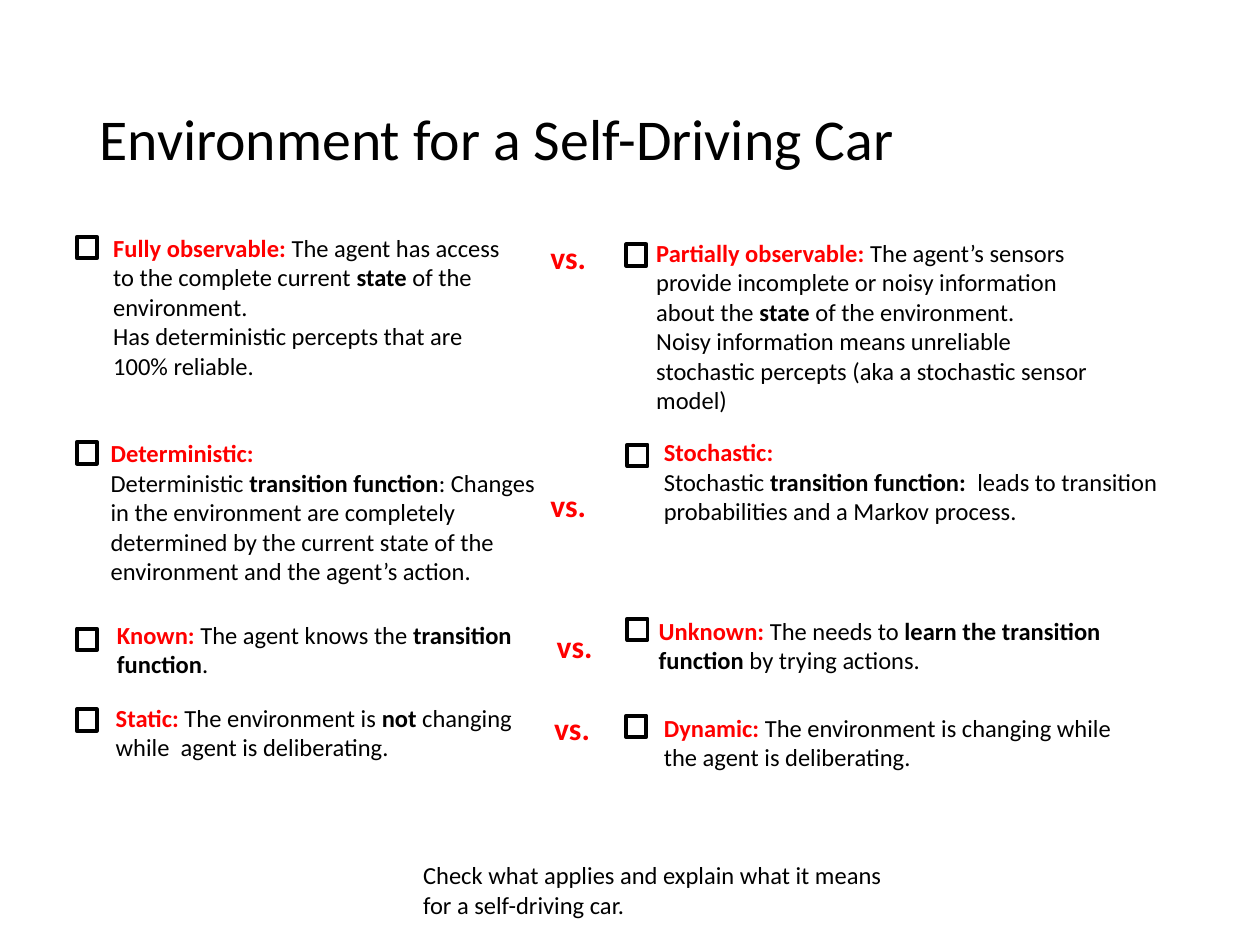
"""Build the slide that contrasts environment types for a self-driving car."""
import pptx
import pptx.dml.color
import pptx.enum.shapes
import pptx.enum.text
import pptx.util

Inches, Pt = pptx.util.Inches, pptx.util.Pt
RGB = pptx.dml.color.RGBColor.from_string
COLORS = {"text": "000000", "term": "FF0000"}


def add_run(p, text, color="text", **font):
    r = p.add_run()
    r.text = text
    r.font.color.rgb = RGB(COLORS[color])
    for name, value in {"name": "Calibri", "size": Pt(14), "bold": False, **font}.items():
        setattr(r.font, name, value)


def add_text_box(s, box):
    tf = s.shapes.add_textbox(*map(Inches, box)).text_frame
    tf.word_wrap = True
    return tf


prs = pptx.Presentation()
prs.slide_width, prs.slide_height = Inches(10), Inches(7.5)
s = prs.slides.add_slide(prs.slide_layouts[5])

title = s.shapes.title
title_box = {"left": 0.69, "top": 0.4, "width": 8.62, "height": 1.45}
for name, value in title_box.items():
    setattr(title, name, Inches(value))
tf = title.text_frame
tf.auto_size = pptx.enum.text.MSO_AUTO_SIZE.NONE
tf.vertical_anchor = pptx.enum.text.MSO_ANCHOR.MIDDLE
p = tf.paragraphs[0]
p.alignment = pptx.enum.text.PP_ALIGN.LEFT
p.line_spacing = 0.9
add_run(p, "Environment for a Self-Driving Car", size=Pt(33))

properties = [
    ((0.8, 1.8, 3.42, 1.51), (0.61, 1.88), "Fully observable:",
     " The agent has access to the complete current *state *of the environment.\n"
     "Has deterministic percepts that are 100% reliable."),
    ((5.11, 1.84, 3.82, 1.51), (4.97, 1.94), "Partially observable:",
     " The agent’s sensors provide incomplete or noisy information about the "
     "*state* of the environment.\nNoisy information means unreliable "
     "stochastic percepts (aka a stochastic sensor model)"),
    ((0.78, 3.43, 3.67, 1.28), (0.61, 3.51), "Deterministic:",
     "\nDeterministic *transition function*: Changes in the environment are "
     "completely determined by the current state of the environment and the "
     "agent’s action."),
    ((5.17, 3.42, 4.16, 1.04), (4.98, 3.53), "Stochastic:",
     "\nStochastic *transition function:  *leads to transition probabilities "
     "and a Markov process."),
    ((0.83, 4.87, 3.49, 0.57), (0.61, 4.99), "Known:",
     " The agent knows the *transition function*."),
    ((5.13, 4.84, 4.16, 0.57), (4.98, 4.91), "Unknown:",
     " The needs to *learn the transition function* by trying actions."),
    ((0.82, 5.53, 3.54, 0.57), (0.61, 5.63), "Static:",
     " The environment is *not* changing while  agent is deliberating."),
    ((5.17, 5.61, 4.01, 0.57), (4.97, 5.68), "Dynamic:",
     " The environment is changing while the agent is deliberating."),
]
for box, check, term, description in properties:
    tf = add_text_box(s, box)
    p = tf.paragraphs[0]
    add_run(p, term, "term", bold=True)
    for i, line in enumerate(description.split("\n")):
        if i:
            p = tf.add_paragraph()
        for j, part in enumerate(line.split("*")):
            if part:
                add_run(p, part, bold=j % 2 == 1)
    sp = s.shapes.add_shape(pptx.enum.shapes.MSO_SHAPE.RECTANGLE,
                            *map(Inches, (*check, 0.16, 0.17)))
    sp.shadow.inherit = False
    sp.fill.background()
    sp.line.color.rgb = RGB(COLORS["text"])
    sp.line.width = Pt(2.25)

for left, top in [(4.27, 1.84), (4.27, 3.81), (4.32, 4.93), (4.3, 5.58)]:
    tf = add_text_box(s, (left, top, 0.65, 0.4))
    add_run(tf.paragraphs[0], "vs.", "term", size=Pt(18), bold=True)

tf = add_text_box(s, (3.26, 6.78, 4.06, 0.57))
add_run(tf.paragraphs[0],
        "Check what applies and explain what it means for a self-driving car.")

prs.save("out.pptx")
